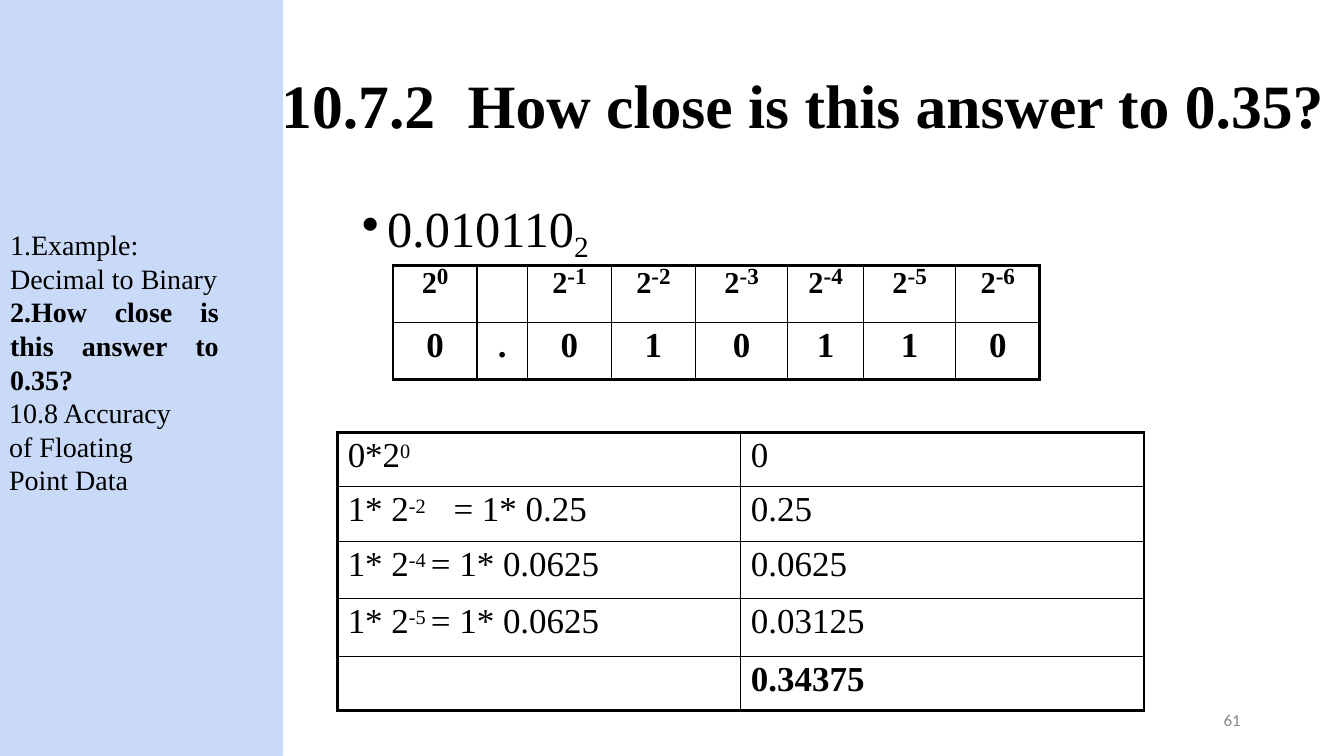
"""Build a slide that checks how close a binary fraction is to 0.35."""
import dataclasses

import lxml.etree
import pptx
import pptx.dml.color
import pptx.enum.shapes
import pptx.enum.text
import pptx.oxml.ns
import pptx.util

Pt = pptx.util.Pt
Align = pptx.enum.text.PP_ALIGN


@dataclasses.dataclass(frozen=True)
class Theme:
    serif: str = "Times New Roman"
    sans: str = "Calibri"
    ink: str = "000000"
    sidebar: str = "C9DAF8"
    grey: str = "888888"
    title: float = 44
    fraction: float = 36
    table: float = 25
    base: float = 37.5
    exponent: float = 16.5
    outline: float = 20
    number: float = 12


theme = Theme()


def add_element(parent, tag, index=None, **attributes):
    element = lxml.etree.Element(pptx.oxml.ns.qn(tag), attributes)
    parent.insert(len(parent) if index is None else index, element)
    return element


def write(paragraph, pieces, size, bold=False, face=theme.serif, color=theme.ink):
    if isinstance(pieces, str):
        pieces = [(pieces, 0, None)]
    for text, baseline, run_size in pieces:
        for number, line in enumerate(text.split("\v")):
            if number:
                paragraph.add_line_break()
            run = paragraph.add_run()
            run.text = line
            if run_size:
                run.font.size = Pt(run_size)
            if baseline:
                run.font._element.set("baseline", str(baseline * 1000))
    paragraph.font.name = face
    paragraph.font.size = Pt(size)
    paragraph.font.bold = bold
    paragraph.font.color.rgb = pptx.dml.color.RGBColor.from_string(color)


presentation = pptx.Presentation()
presentation.slide_width = Pt(960)
presentation.slide_height = Pt(540)
slide = presentation.slides.add_slide(presentation.slide_layouts[6])

sidebar = slide.shapes.add_shape(
    pptx.enum.shapes.MSO_SHAPE.RECTANGLE, Pt(0), Pt(0), Pt(201.6), Pt(540))
sidebar.shadow.inherit = False
sidebar.fill.solid()
sidebar.fill.fore_color.rgb = pptx.dml.color.RGBColor.from_string(theme.sidebar)
sidebar.line.color.rgb = sidebar.fill.fore_color.rgb
sidebar.line.width = Pt(0.75)

frames = {}
for name, left, top, width, height, inset in (
    ("title", 200.9, 42.5, 800.6, 54, 5),
    ("fraction", 255.6, 136.1, 169.9, 45.4, 4.5),
    ("outline", 6.5, 160.6, 149.8, 194.4, 2),
    ("number", 871.2, 509, 18, 14.4, 0),
):
    box = slide.shapes.add_textbox(Pt(left), Pt(top), Pt(width), Pt(height))
    frame = box.text_frame
    frame.word_wrap = True
    frame.margin_left = frame.margin_right = frame.margin_bottom = 0
    frame.margin_top = Pt(inset)
    frames[name] = frame

title = frames["title"].paragraphs[0]
tabs = add_element(title._p.get_or_add_pPr(), "a:tabLst")
add_element(tabs, "a:tab", pos=str(Pt(133.2)), algn="l")
write(title, "10.7.2\tHow close is this answer to 0.35?", theme.title, bold=True)

fraction = frames["fraction"].paragraphs[0]
properties = fraction._p.get_or_add_pPr()
properties.set("marL", str(Pt(20.9)))
properties.set("indent", str(Pt(-18)))
add_element(properties, "a:buChar", char="•")
write(fraction, [("0.010110", 0, None), ("2", -21, None)], theme.fraction)

outline = frames["outline"]
for number, (text, numbered, bold) in enumerate((
    ("Example: Decimal to Binary", True, False),
    ("How close is this answer to 0.35?", True, True),
    ("10.8 Accuracy\vof Floating\vPoint Data", False, False),
)):
    paragraph = outline.add_paragraph() if number else outline.paragraphs[0]
    if numbered:
        paragraph.alignment = Align.JUSTIFY
        properties = paragraph._p.get_or_add_pPr()
        properties.set("marL", str(Pt(0.7)))
        properties.set("indent", "0")
        add_element(properties, "a:buAutoNum", type="arabicPeriod")
    write(paragraph, text, theme.outline, bold)

page = frames["number"].paragraphs[0]
page.line_spacing = Pt(12.4)
frames["number"].margin_left = Pt(2.9)
write(page, "61", theme.number, face=theme.sans, color=theme.grey)

powers = [[("2", -17, theme.base), (str(-power), 0, theme.exponent)]
          for power in range(7)]
powers.insert(1, "")
products = [[("0*2", 0, None), ("0", 25, None)]]
for exponent, result in (("-2\t", "0.25"), ("-4 ", "0.0625"), ("-5 ", "0.0625")):
    products.append([("1* 2", 0, None), (exponent, 25, None),
                     (f"= 1* {result}", 0, None)])
products.append("")
sums = ["0", "0.25", "0.0625", "0.03125", "0.34375"]

for is_binary, left, top, widths, heights, rows in (
    (True, 280.8, 189.4, [60, 36, 60, 60, 66, 54, 66, 60], [40.8] * 2,
     [powers, list("0.010110")]),
    (False, 241.2, 308.9, [288, 288], [38.9, 38.9, 41, 41, 38.9],
     list(zip(products, sums))),
):
    table = slide.shapes.add_table(
        len(heights), len(widths), Pt(left), Pt(top),
        Pt(sum(widths)), Pt(sum(heights))).table
    table.first_row = table.horz_banding = False
    for column, width in zip(table.columns, widths):
        column.width = Pt(width)
    for row, height in zip(table.rows, heights):
        row.height = Pt(height)
    for y, row in enumerate(rows):
        for x, pieces in enumerate(row):
            cell = table.cell(y, x)
            is_power = is_binary and y == 0
            cell.margin_left = Pt(0 if is_binary else 7.2)
            cell.margin_right = cell.margin_bottom = 0
            cell.margin_top = Pt(0 if is_power else 2.8)
            cell.fill.background()
            outer = {"L": x == 0, "R": x == len(widths) - 1,
                     "T": y == 0, "B": y == len(heights) - 1}
            for index, (side, is_outer) in enumerate(outer.items()):
                border = add_element(cell._tc.get_or_add_tcPr(), f"a:ln{side}", index,
                                     w=str(Pt(2.25 if is_outer else 1)))
                fill = add_element(border, "a:solidFill")
                add_element(fill, "a:srgbClr", val=theme.ink)
            if not pieces:
                continue
            paragraph = cell.text_frame.paragraphs[0]
            if is_binary:
                paragraph.alignment = Align.CENTER
            if is_power:
                paragraph.line_spacing = Pt(25.2)
            if "\t" in str(pieces) or any("\t" in piece[0] for piece in pieces):
                tabs = add_element(paragraph._p.get_or_add_pPr(), "a:tabLst")
                add_element(tabs, "a:tab", pos=str(Pt(75.6)), algn="l")
            write(paragraph, pieces, theme.table, is_binary or pieces == sums[-1])

presentation.save("out.pptx")
